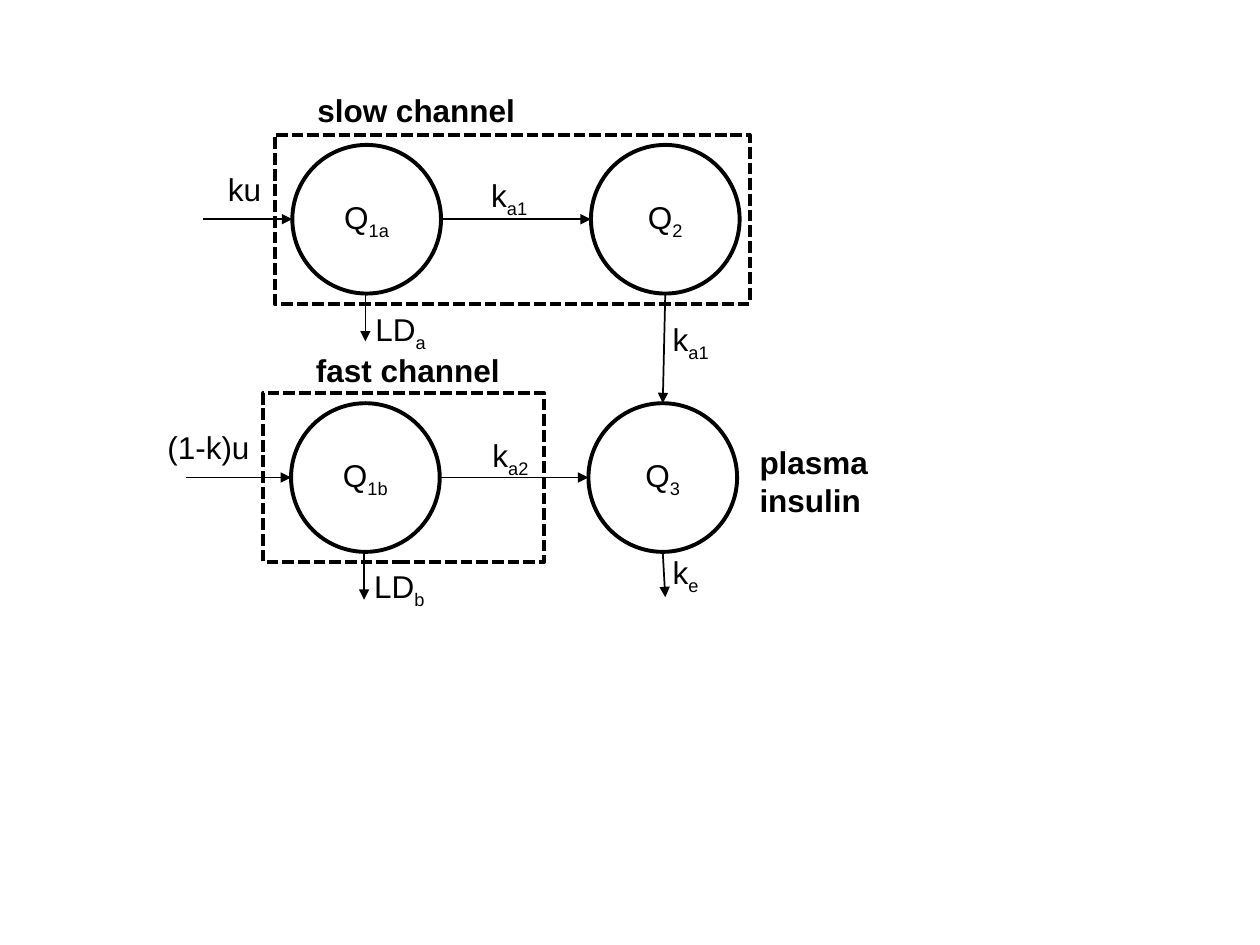
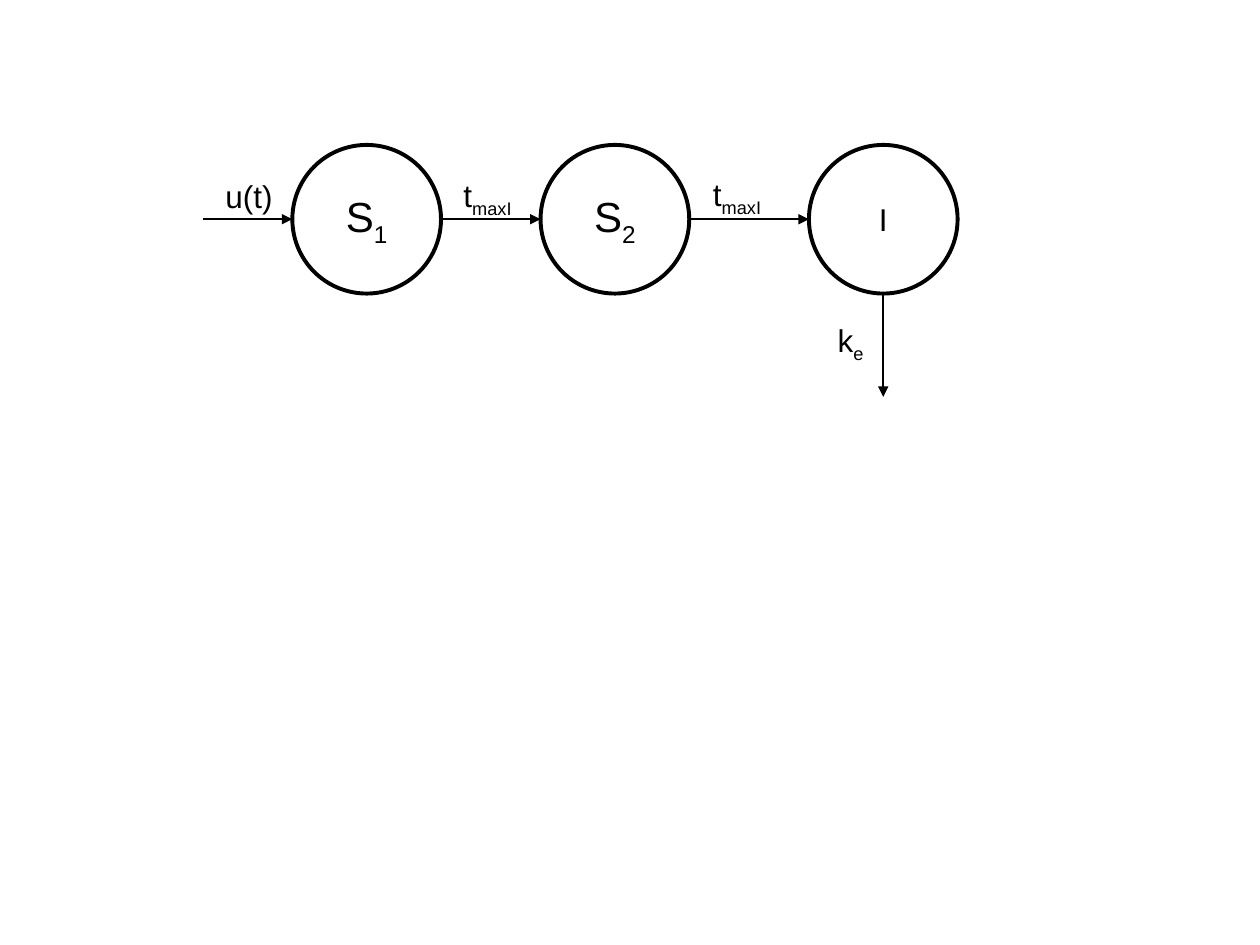
"""Build two compartment diagrams of insulin absorption on a grid of 100 by 75 cells."""
from lxml import etree
from pptx import Presentation
from pptx.dml.color import RGBColor
from pptx.enum.dml import MSO_LINE
from pptx.enum.shapes import MSO_CONNECTOR, MSO_SHAPE
from pptx.enum.text import MSO_ANCHOR, MSO_AUTO_SIZE, PP_ALIGN
from pptx.oxml.ns import qn
from pptx.util import Inches, Pt

OVAL, RECTANGLE = MSO_SHAPE.OVAL, MSO_SHAPE.RECTANGLE
STRAIGHT, DASHED = MSO_CONNECTOR.STRAIGHT, MSO_LINE.SQUARE_DOT
LEFT, CENTER, MIDDLE = PP_ALIGN.LEFT, PP_ALIGN.CENTER, MSO_ANCHOR.MIDDLE
GROW = MSO_AUTO_SIZE.SHAPE_TO_FIT_TEXT
COLORS = {name: RGBColor.from_string(value) for name, value in
          {"ink": "000000", "paper": "FFFFFF"}.items()}
FONT = "Arial"

deck = Presentation()
deck.slide_width, deck.slide_height = Inches(10), Inches(7.5)
CELL = deck.slide_width / 100
DIAMETER = 11.8
RADIUS = DIAMETER / 2
LABEL_HEIGHT = 4
UPPER, LOWER = 11.5, 32
UPPER_AXIS, LOWER_AXIS = UPPER + RADIUS, LOWER + RADIUS
UPPER_BASE, LOWER_BASE = UPPER + DIAMETER, LOWER + DIAMETER
FIRST, SECOND, THIRD = 23.2, 42.9, 64.2
SLOW_END, FAST_START, PLASMA = 46.9, 23.1, 46.7
FRAME_HEIGHT = 13.4


def grid(*cells):
    return [round(cell * CELL) for cell in cells]


def write(frame, text, size=18, bold=False, align=LEFT):
    for index, line in enumerate(text.split("\n")):
        paragraph = frame.add_paragraph() if index else frame.paragraphs[0]
        paragraph.alignment = align
        for level, part in enumerate(line.split("_")):
            run = paragraph.add_run()
            run.text = part
            run.font.name, run.font.size, run.font.bold = FONT, Pt(size), bold
            run.font.color.rgb = COLORS["ink"]
            if level:
                run._r.get_or_add_rPr().set("baseline", "-25000")


diagrams = [
    {
        "compartments": [("Q_1a", FIRST, UPPER, 18), ("Q_2", SLOW_END, UPPER, 18),
                         ("Q_1b", FAST_START, LOWER, 18), ("Q_3", PLASMA, LOWER, 18)],
        "flows": [
            (16.1, UPPER_AXIS, FIRST, UPPER_AXIS),
            (FIRST + DIAMETER, UPPER_AXIS, SLOW_END, UPPER_AXIS),
            (29, UPPER_BASE, 29, 27.1),
            (SLOW_END + RADIUS, UPPER_BASE, PLASMA + RADIUS, LOWER),
            (14.8, LOWER_AXIS, FAST_START, LOWER_AXIS),
            (FAST_START + DIAMETER, LOWER_AXIS, PLASMA, LOWER_AXIS),
            (28.9, LOWER_BASE, 28.9, 47.6),
            (PLASMA + RADIUS, LOWER_BASE, 52.8, 47.4),
        ],
        "channels": [(21.8, 10.7, 37.7), (20.9, 31.2, 22.3)],
        "labels": [("ku", 17.1, 13, 4.7), ("k_a1", 38, 13.5, 5.1),
                   ("LD_a", 28.8, 24.1, 6.2), ("k_a1", 52.4, 24.9, 5.1),
                   ("(1-k)u", 12.3, 33.5, 8.6), ("k_a2", 38.1, 34.1, 5.1),
                   ("LD_b", 28.7, 44.5, 6.2), ("k_e", 52.4, 43.4, 4.2)],
        "headings": [("slow channel", 24.2, 6.7, 17.9),
                     ("fast channel", 24.1, 27.4, 16.7),
                     ("plasma\ninsulin", 59.3, 34.7, 10.7)],
    },
    {
        "compartments": [("S_1", FIRST, UPPER, 24), ("S_2", SECOND, UPPER, 24),
                         ("I", THIRD, UPPER, 18)],
        "flows": [
            (16.1, UPPER_AXIS, FIRST, UPPER_AXIS),
            (FIRST + DIAMETER, UPPER_AXIS, SECOND, UPPER_AXIS),
            (SECOND + DIAMETER, UPPER_AXIS, THIRD, UPPER_AXIS),
            (THIRD + RADIUS, UPPER_BASE, THIRD + RADIUS, 31.5),
        ],
        "channels": [],
        "labels": [("u(t)", 16.9, 13.6, 5.8), ("t_maxI", 35.8, 13.5, 6.4),
                   ("t_maxI", 55.6, 13.4, 6.4), ("k_e", 65.5, 25, 4.2)],
        "headings": [],
    },
]

for diagram in diagrams:
    slide = deck.slides.add_slide(deck.slide_layouts[6])
    shapes = slide.shapes

    for name, left, top, size in diagram["compartments"]:
        compartment = shapes.add_shape(OVAL, *grid(left, top, DIAMETER, DIAMETER))
        compartment.shadow.inherit = False
        compartment.fill.solid()
        compartment.fill.fore_color.rgb = COLORS["paper"]
        compartment.line.color.rgb = COLORS["ink"]
        compartment.line.width = Pt(2.25)
        compartment.text_frame.vertical_anchor = MIDDLE
        write(compartment.text_frame, name, size=size, align=CENTER)

    for ends in diagram["flows"]:
        flow = shapes.add_connector(STRAIGHT, *grid(*ends))
        flow.line.color.rgb = COLORS["ink"]
        flow.line.width = Pt(1)
        etree.SubElement(flow.line._get_or_add_ln(), qn("a:tailEnd"), type="triangle")
        etree.SubElement(flow._element.spPr, qn("a:effectLst"))

    for left, top, width in diagram["channels"]:
        channel = shapes.add_shape(RECTANGLE, *grid(left, top, width, FRAME_HEIGHT))
        channel.shadow.inherit = False
        channel.fill.background()
        channel.line.color.rgb = COLORS["ink"]
        channel.line.width = Pt(2.25)
        channel.line.dash_style = DASHED

    for kind in ("labels", "headings"):
        for text, left, top, width in diagram[kind]:
            height = 7.1 if "\n" in text else LABEL_HEIGHT
            caption = shapes.add_textbox(*grid(left, top, width, height)).text_frame
            caption.word_wrap = False
            caption.auto_size = GROW
            write(caption, text, bold=kind == "headings")

deck.save("out.pptx")
